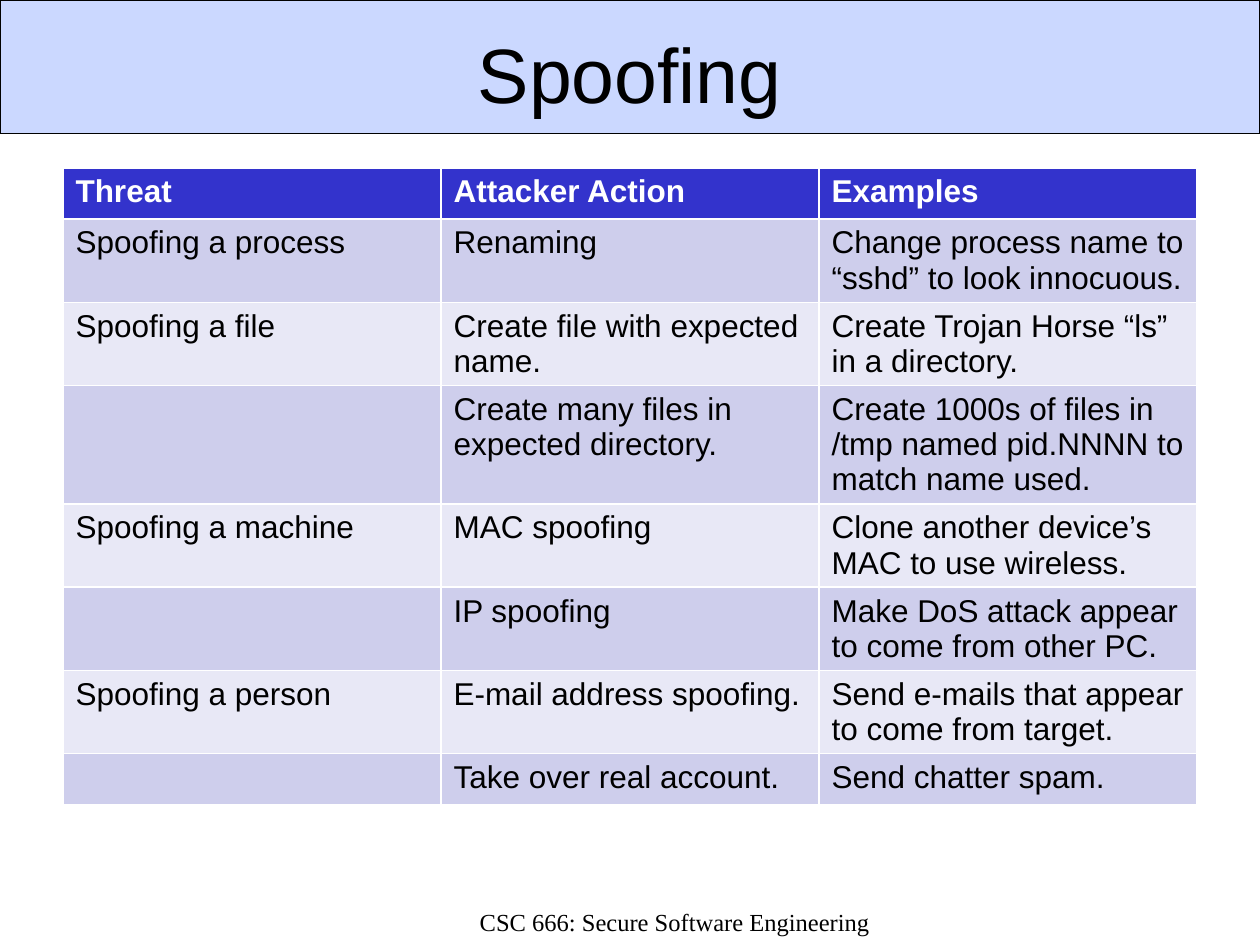
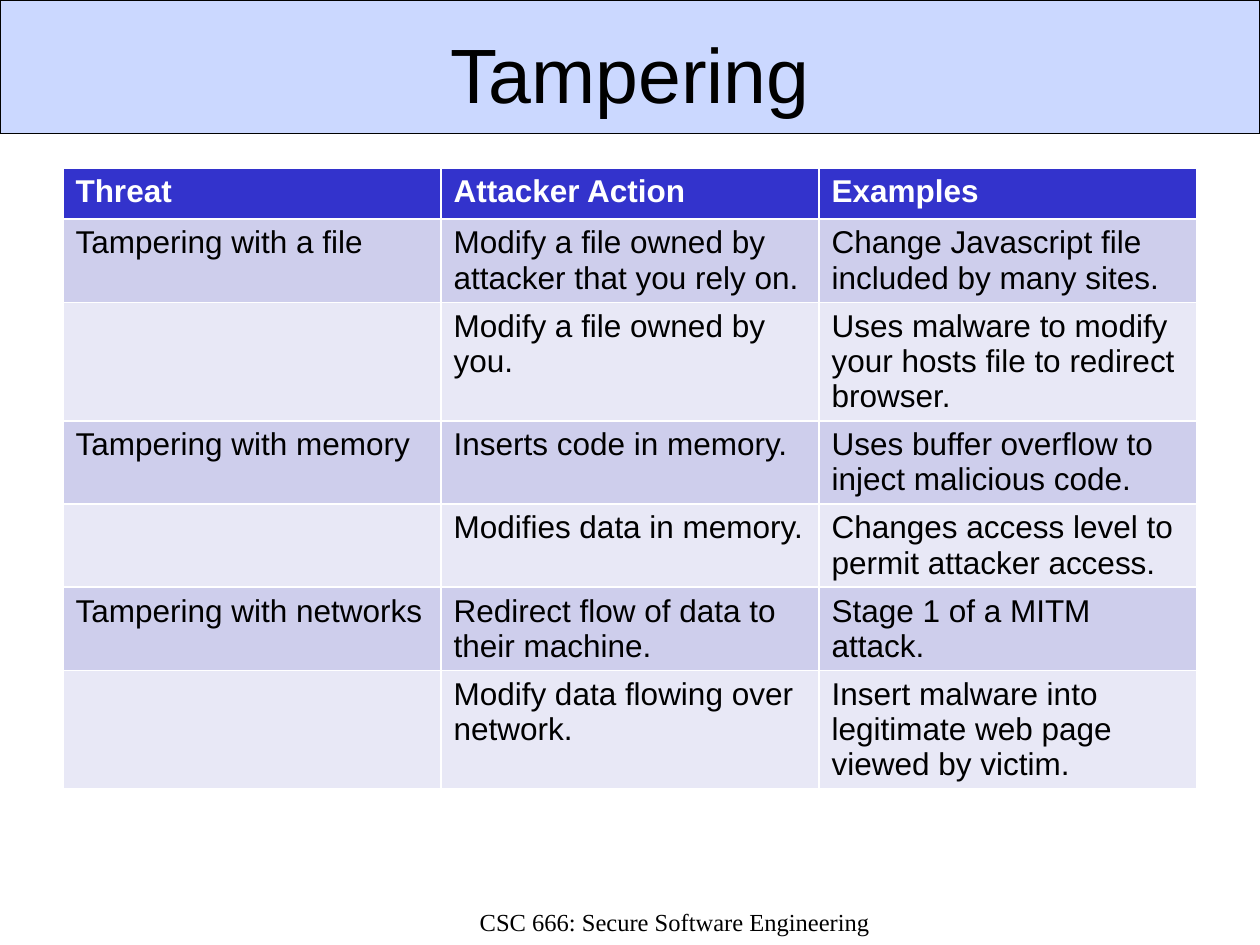
"""Build two threat-table slides on spoofing and tampering."""
from lxml.etree import SubElement
from pptx import Presentation
from pptx.dml.color import RGBColor
from pptx.enum.shapes import MSO_SHAPE as Shape
from pptx.enum.text import MSO_ANCHOR as Anchor, PP_ALIGN as Align
from pptx.oxml.ns import qn
from pptx.util import Pt

WIDTH, HEIGHT = 720, 540
BLACK, WHITE, BAND, HEADER = "000000", "FFFFFF", "3366FF", "3333CC"
ROW_FILLS = ("E8E8F6", "CECEEC")
TITLE_BOX = (36, 11.5, 648, 60)
BAND_BOX = (0, 0, WIDTH, 76.5)
TABLE_LEFT, TABLE_TOP, COLUMN_WIDTH, ROW_HEIGHT = 36, 96, 216, 29.2
FOOTER_BOX = (266.4, 514.8, 238.5, 25.2)
FOOTER = "CSC 666: Secure Software Engineering"
TITLE_FONT = {"name": "Arial", "size": Pt(44), "color": BLACK}
HEADER_FONT = {"name": "Arial", "size": Pt(18), "bold": True, "color": WHITE}
CELL_FONT = {"name": "Arial", "size": Pt(18), "bold": False, "color": BLACK}
FOOTER_FONT = {"name": "Times New Roman", "size": Pt(14), "color": BLACK}

COLUMNS = ("Threat", "Attacker Action", "Examples")
THREATS = {
    "Spoofing": [
        ("Spoofing a process", "Renaming",
         "Change process name to “sshd” to look innocuous."),
        ("Spoofing a file", "Create file with expected name.",
         "Create Trojan Horse “ls” in a directory."),
        ("", "Create many files in expected directory.",
         "Create 1000s of files in /tmp named pid.NNNN to match name used."),
        ("Spoofing a machine", "MAC spoofing",
         "Clone another device’s MAC to use wireless."),
        ("", "IP spoofing", "Make DoS attack appear to come from other PC."),
        ("Spoofing a person", "E-mail address spoofing.",
         "Send e-mails that appear to come from target."),
        ("", "Take over real account.", "Send chatter spam."),
    ],
    "Tampering": [
        ("Tampering with a file",
         "Modify a file owned by attacker that you rely on.",
         "Change Javascript file included by many sites."),
        ("", "Modify a file owned by you.",
         "Uses malware to modify your hosts file to redirect browser."),
        ("Tampering with memory", "Inserts code in memory.",
         "Uses buffer overflow to inject malicious code."),
        ("", "Modifies data in memory.",
         "Changes access level to permit attacker access."),
        ("Tampering with networks", "Redirect flow of data to their machine.",
         "Stage 1 of a MITM attack."),
        ("", "Modify data flowing over network.",
         "Insert malware into legitimate web page viewed by victim."),
    ],
}


def rgb(value):
    """Turn a hex string into a colour."""
    return RGBColor.from_string(value)


def points(box):
    """Convert a box of numbers to lengths."""
    return [Pt(value) for value in box]


def fill_solid(target, color):
    """Give a shape or cell a solid fill."""
    target.fill.solid()
    target.fill.fore_color.rgb = rgb(color)


def write(text_frame, text, font_format, alignment=None):
    """Write one formatted paragraph."""
    paragraph = text_frame.paragraphs[0]
    paragraph.alignment = alignment
    if not text:
        return
    run = paragraph.add_run()
    run.text = text
    for name, value in font_format.items():
        if name == "color":
            run.font.color.rgb = rgb(value)
        else:
            setattr(run.font, name, value)


def add_title(slide, text):
    """Place the title on its translucent band."""
    title = slide.shapes.title
    for name, value in zip(("left", "top", "width", "height"), points(TITLE_BOX)):
        setattr(title, name, value)
    title.text_frame.vertical_anchor = Anchor.MIDDLE
    write(title.text_frame, text, TITLE_FONT, Align.CENTER)

    band = slide.shapes.add_shape(Shape.RECTANGLE, *points(BAND_BOX))
    band.shadow.inherit = False
    fill_solid(band, BAND)
    color = band._element.spPr.find(qn("a:solidFill")).find(qn("a:srgbClr"))
    SubElement(color, qn("a:alpha"), val="25000")
    band.line.color.rgb = rgb(BLACK)
    band.line.width = Pt(0.75)
    title._element.addprevious(band._element)


def add_threat_table(slide, threats):
    """Add a table with a header and banded rows."""
    rows = [COLUMNS, *threats]
    box = (TABLE_LEFT, TABLE_TOP, COLUMN_WIDTH * len(COLUMNS), ROW_HEIGHT * len(rows))
    table = slide.shapes.add_table(len(rows), len(COLUMNS), *points(box)).table
    for row_index, row in enumerate(rows):
        is_header = row_index == 0
        for column_index, text in enumerate(row):
            cell = table.cell(row_index, column_index)
            fill_solid(cell, HEADER if is_header else ROW_FILLS[row_index % 2])
            write(cell.text_frame, text, HEADER_FONT if is_header else CELL_FONT)


def add_footer(slide):
    """Add the course name at the foot."""
    footer = slide.shapes.add_textbox(*points(FOOTER_BOX))
    footer.text_frame.word_wrap = True
    write(footer.text_frame, FOOTER, FOOTER_FONT, Align.CENTER)


def main():
    """Build and save the presentation."""
    presentation = Presentation()
    presentation.slide_width, presentation.slide_height = Pt(WIDTH), Pt(HEIGHT)
    title_only = presentation.slide_layouts[5]
    for title, threats in THREATS.items():
        slide = presentation.slides.add_slide(title_only)
        add_title(slide, title)
        add_threat_table(slide, threats)
        add_footer(slide)
    presentation.save("out.pptx")


if __name__ == "__main__":
    main()
